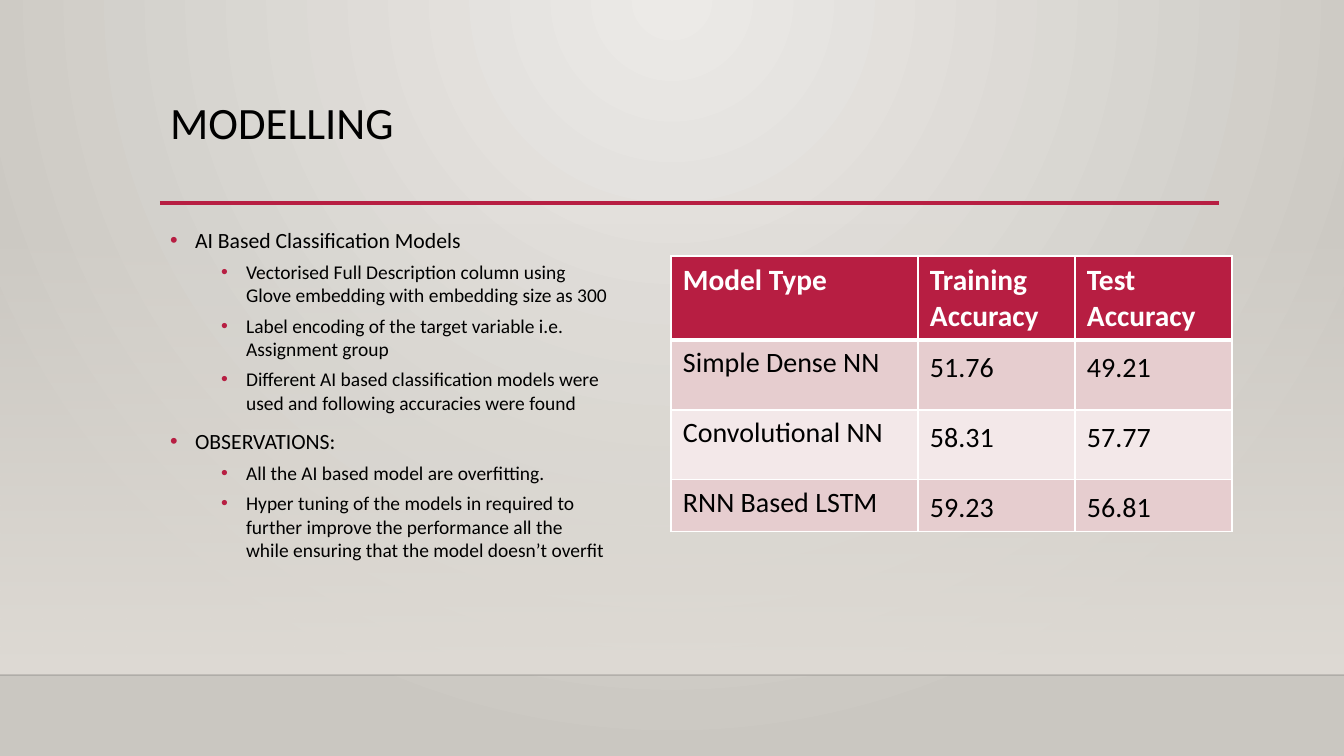
from lxml import etree
from pptx import Presentation
from pptx.dml.color import RGBColor
from pptx.enum.shapes import MSO_CONNECTOR, MSO_SHAPE
from pptx.enum.text import MSO_ANCHOR, MSO_AUTO_SIZE, PP_ALIGN
from pptx.oxml import parse_xml
from pptx.oxml.ns import qn
from pptx.util import Pt

LINE, RECT = MSO_CONNECTOR.STRAIGHT, MSO_SHAPE.RECTANGLE
TOP, MID = MSO_ANCHOR.TOP, MSO_ANCHOR.MIDDLE
FIXED, LEFT = MSO_AUTO_SIZE.NONE, PP_ALIGN.LEFT
WIDE, HIGH = 1344, 756
SCALE = 12192000 / WIDE
NS = 'xmlns:a="http://schemas.openxmlformats.org/drawingml/2006/main"'
HUES = {
    "text": "000000", "white": "FFFFFF", "accent": "B71E42",
    "odd": "E6CDCF", "even": "F3E8E9", "glow": "ECEAE7",
    "edge": "CAC7C1", "wall": "DFDBD5", "floor": "000001",
}


def px(num):
    return round(num * SCALE)


def hue(name):
    return RGBColor.from_string(HUES[name])


def write(para, text, size, color="text", bold=False, space=0, lead=1.0):
    para.alignment = LEFT
    para.space_before, para.line_spacing = Pt(space), lead
    run = para.add_run()
    run.text = text
    font = run.font
    font.name, font.size, font.bold = "Calibri", Pt(size), bold
    font.color.rgb = hue(color)


def blend(fill, box, stops, shape):
    """Replace the solid fill in box by a gradient of (place, hue, alpha)."""
    fill.solid()
    marks = "".join(
        f'<a:gs pos="{at * 1000}"><a:srgbClr val="{HUES[name]}">'
        f'<a:alpha val="{alpha * 1000}"/></a:srgbClr></a:gs>'
        for at, name, alpha in stops)
    grad = parse_xml(f'<a:gradFill {NS} rotWithShape="1">'
                     f'<a:gsLst>{marks}</a:gsLst>{shape}</a:gradFill>')
    old = box.find(qn("a:solidFill"))
    box.replace(old, grad)


class Deck:
    def __init__(self):
        self.show = Presentation()
        self.show.slide_width, self.show.slide_height = px(WIDE), px(HIGH)
        self.slide = self.show.slides.add_slide(self.show.slide_layouts[1])
        self.shapes = self.slide.shapes

    def back(self):
        ground = self.slide.background
        fill = ground.fill
        fill.solid()
        box = next(self.slide.element.iter(qn("p:bgPr")))
        blend(fill, box, [(0, "glow", 100), (100, "edge", 100)],
              '<a:path path="circle"><a:fillToRect l="43000" t="0" '
              'r="43000" b="100000"/></a:path>')

    def fade(self, x, y, wide, high):
        rect = self.shapes.add_shape(RECT, px(x), px(y), px(wide), px(high))
        rect.shadow.inherit = False
        rect.line.fill.background()
        blend(rect.fill, rect.element.spPr,
              [(0, "wall", 0), (100, "wall", 100)], '<a:lin ang="5400000"/>')
        tree = rect.element.getparent()
        tree.insert(2, rect.element)  # behind the placeholders

    def rule(self, x, y, end, color, width, alpha=100):
        line = self.shapes.add_connector(LINE, px(x), px(y), px(end), px(y))
        line.line.color.rgb, line.line.width = hue(color), Pt(width)
        props = line.element.spPr
        tint = next(props.iter(qn("a:srgbClr")))
        etree.SubElement(tint, qn("a:alpha"), val=str(alpha * 1000))
        etree.SubElement(props, qn("a:effectLst"))

    def place(self, holder, x, y, wide, high, anchor):
        holder.left, holder.top = px(x), px(y)
        holder.width, holder.height = px(wide), px(high)
        frame = holder.text_frame
        frame.word_wrap, frame.auto_size = True, FIXED
        frame.vertical_anchor = anchor
        return frame

    def title(self, text, *spot):
        frame = self.place(self.shapes.title, *spot, MID)
        write(frame.paragraphs[0], text, 32)

    def list(self, items, *spot):
        frame = self.place(self.slide.placeholders[1], *spot, TOP)
        for num, (level, text) in enumerate(items):
            para = frame.add_paragraph() if num else frame.paragraphs[0]
            para.level = level
            size, space, left = [(15.5, 10, 25), (13.9, 5, 76)][level]
            write(para, text, size, space=space)
            props = para._p.get_or_add_pPr()
            props.set("marL", str(px(left)))
            props.set("indent", str(px(-25)))
            tint = etree.SubElement(props, qn("a:buClr"))
            etree.SubElement(tint, qn("a:srgbClr"), val=HUES["accent"])
            etree.SubElement(props, qn("a:buFont"), typeface="Arial")
            etree.SubElement(props, qn("a:buChar"), char="•")

    def border(self, cell, sides):
        props = cell._tc.get_or_add_tcPr()
        for side, width in sides.items():
            edge = etree.SubElement(props, qn(f"a:ln{side}"),
                                    w=str(Pt(width)))
            fill = etree.SubElement(edge, qn("a:solidFill"))
            etree.SubElement(fill, qn("a:srgbClr"), val=HUES["white"])

    def table(self, rows, x, y, wides, highs):
        grid = self.shapes.add_table(len(rows), len(wides), px(x), px(y),
                                     px(sum(wides)), px(sum(highs))).table
        for col, wide in zip(grid.columns, wides):
            col.width = px(wide)
        for row, high in zip(grid.rows, highs):
            row.height = px(high)
        for r, row in enumerate(rows):
            for c, text in enumerate(row):
                cell = grid.cell(r, c)
                cell.margin_left = cell.margin_right = px(12)
                cell.margin_top = cell.margin_bottom = px(6)
                self.border(cell, {"L": 1, "R": 1, "T": 3 if r == 1 else 1,
                                   "B": 1 if r else 3})
                cell.fill.solid()
                shade = ("odd" if r % 2 else "even") if r else "accent"
                cell.fill.fore_color.rgb = hue(shade)
                para = cell.text_frame.paragraphs[0]
                if r:
                    write(para, text, 20, lead=1.15 if c else 1.0)
                else:
                    write(para, text, 21, color="white", bold=True)


deck = Deck()

# Backdrop with floor line
deck.back()
deck.fade(0, 223, WIDE, 452)
deck.rule(0, 675, WIDE, "floor", 1, alpha=20)

# Heading
deck.title("MODELLING", 160, 89, 1045, 65)
deck.rule(160, 203, 1219, "accent", 2.5)

# Notes on the models
deck.list([
    (0, "AI Based Classification Models"),
    (1, "Vectorised Full Description column using Glove embedding "
        "with embedding size as 300"),
    (1, "Label encoding of the target variable i.e. Assignment group"),
    (1, "Different AI based classification models were used and "
        "following accuracies were found"),
    (0, "OBSERVATIONS:"),
    (1, "All the AI based model are overfitting."),
    (1, "Hyper tuning of the models in required to further improve the "
        "performance all the while ensuring that the model doesn’t overfit"),
], 160, 222, 459, 380)

# Accuracy by model
deck.table([
    ("Model Type", "Training Accuracy", "Test Accuracy"),
    ("Simple Dense NN", "51.76", "49.21"),
    ("Convolutional NN", "58.31", "57.77"),
    ("RNN Based LSTM", "59.23", "56.81"),
], 671, 256, [247, 157, 157], [83, 70, 70, 51])

deck.show.save("out.pptx")
